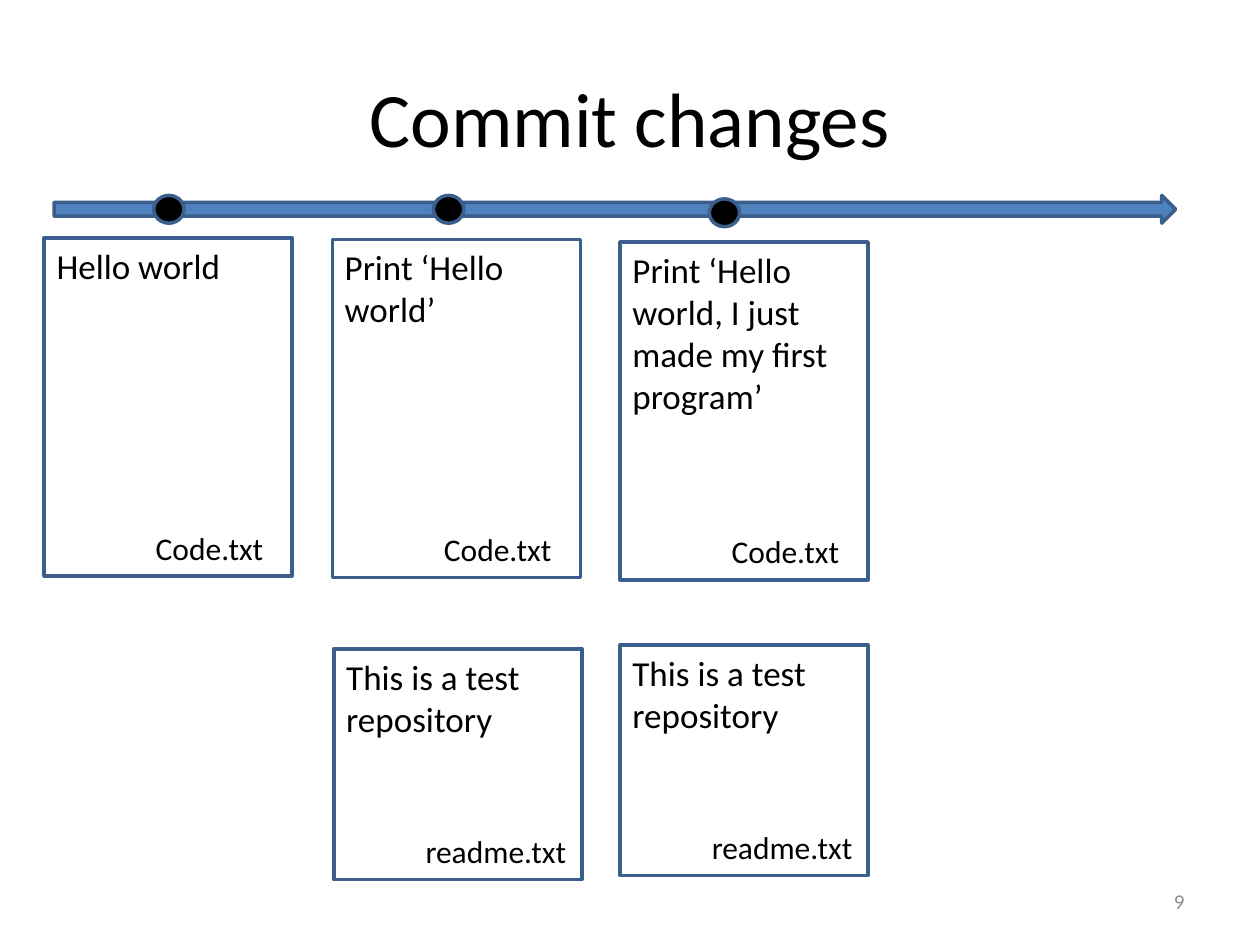
from dataclasses import dataclass

from pptx import Presentation
from pptx.dml.color import RGBColor
from pptx.enum.shapes import MSO_SHAPE
from pptx.enum.text import MSO_ANCHOR, PP_ALIGN
from pptx.util import Cm, Pt


@dataclass(frozen=True)
class Theme:
    font: str = "Calibri"
    ink: str = "000000"
    gray: str = "8C8C8C"
    blue: str = "4F81BD"
    edge: str = "3A5F8C"
    line: float = 2
    title: int = 44
    body: int = 20
    label: int = 18
    small: int = 12


THEME = Theme()
FILE_W, CODE_H, NOTE_H = 5, 6.81, 4.65
LABEL_H, LABEL_GAP = 1.02, 0.06
DOT_W, DOT_H = 0.61, 0.56

# Each commit: dot position, then its files as (left, top, height, text, name, name width)
CODE, NOTE = ("Code.txt", 3), ("readme.txt", 3.4)
README = "This is a test repository"
COMMITS = [
    ((3.1, 3.94), [(0.89, 4.8, CODE_H, "Hello world", *CODE)]),
    ((8.74, 3.94), [(6.7, 4.83, CODE_H, "Print ‘Hello world’", *CODE),
                    (6.73, 13.08, NOTE_H, README, *NOTE)]),
    ((14.3, 4.01), [(12.5, 4.88, CODE_H,
                     "Print ‘Hello world, I just made my first program’", *CODE),
                    (12.5, 13, NOTE_H, README, *NOTE)]),
]


def write(shape, text, size=THEME.body, color=THEME.ink,
          align=PP_ALIGN.LEFT, anchor=MSO_ANCHOR.TOP):
    frame = shape.text_frame
    frame.word_wrap = True
    frame.vertical_anchor = anchor
    par = frame.paragraphs[0]
    par.alignment = align
    run = par.add_run()
    run.text = text
    run.font.name = THEME.font
    run.font.size = Pt(size)
    run.font.color.rgb = RGBColor.from_string(color)


def draw(slide, kind, box, fill=None):
    shape = slide.shapes.add_shape(kind, *map(Cm, box))
    shape.shadow.inherit = False
    if fill:
        shape.fill.solid()
        shape.fill.fore_color.rgb = RGBColor.from_string(fill)
    else:
        shape.fill.background()
    shape.line.color.rgb = RGBColor.from_string(THEME.edge)
    shape.line.width = Pt(THEME.line)
    return shape


def add_title(slide, box, text):
    title = slide.shapes.title
    title.left, title.top, title.width, title.height = map(Cm, box)
    write(title, text, size=THEME.title, align=PP_ALIGN.CENTER,
          anchor=MSO_ANCHOR.MIDDLE)


def add_file(slide, box, text, name, width):
    """Draw a file with its name in the lower right corner."""
    left, top, wide, high = box
    write(draw(slide, MSO_SHAPE.RECTANGLE, box), text)
    label = slide.shapes.add_textbox(
        Cm(left + wide - width), Cm(top + high - LABEL_H - LABEL_GAP),
        Cm(width), Cm(LABEL_H))
    write(label, name, size=THEME.label)


def add_commit(slide, dot, files):
    draw(slide, MSO_SHAPE.OVAL, (*dot, DOT_W, DOT_H), fill=THEME.ink)
    for left, top, high, text, name, width in files:
        add_file(slide, (left, top, FILE_W, high), text, name, width)


def add_number(slide, box, text):
    write(slide.shapes.add_textbox(*map(Cm, box)), text, size=THEME.small,
          color=THEME.gray, align=PP_ALIGN.RIGHT, anchor=MSO_ANCHOR.MIDDLE)


def main():
    deck = Presentation()
    deck.slide_width, deck.slide_height = Cm(25.4), Cm(19.05)
    slide = deck.slides.add_slide(deck.slide_layouts[5])
    add_title(slide, (1.27, 0.76, 22.86, 3.18), "Commit changes")
    draw(slide, MSO_SHAPE.RIGHT_ARROW, (1.09, 3.94, 22.61, 0.56), fill=THEME.blue)
    for dot, files in COMMITS:
        add_commit(slide, dot, files)
    add_number(slide, (18.2, 17.65, 5.93, 1.02), "9")
    deck.save("out.pptx")


if __name__ == "__main__":
    main()
